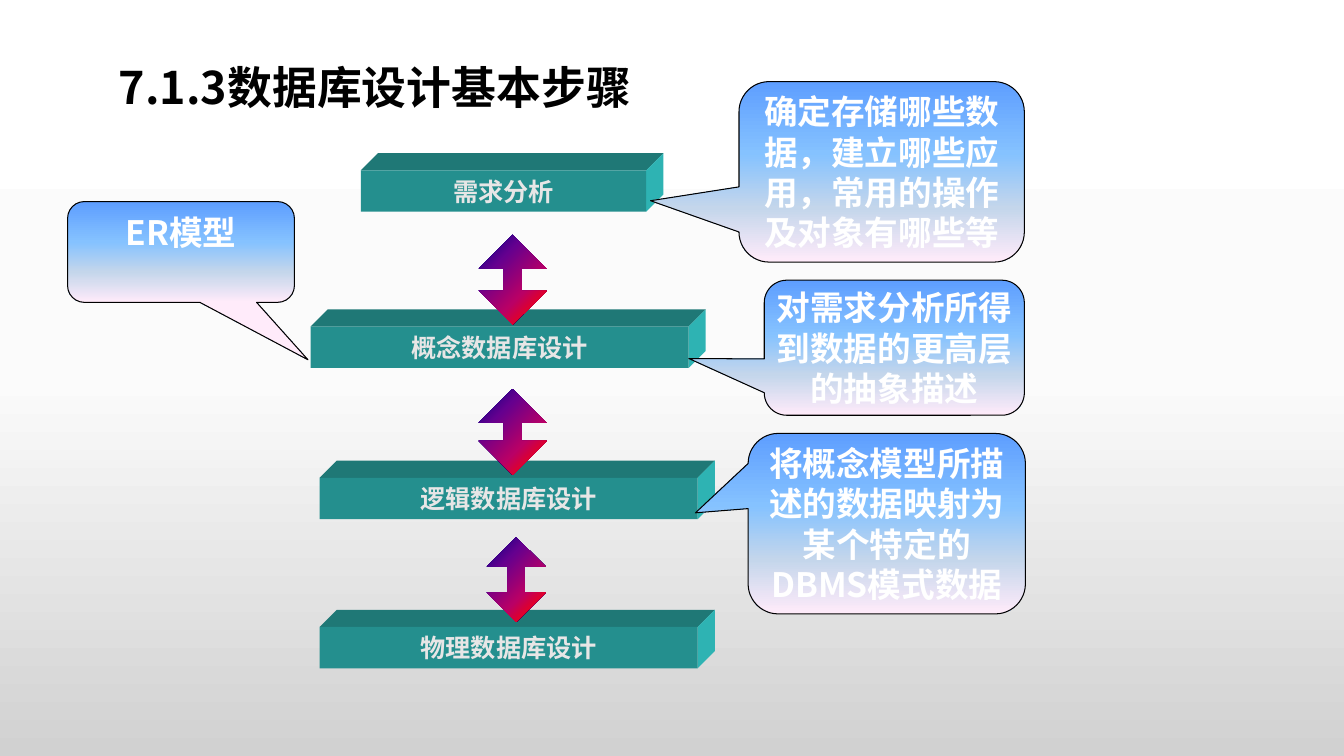
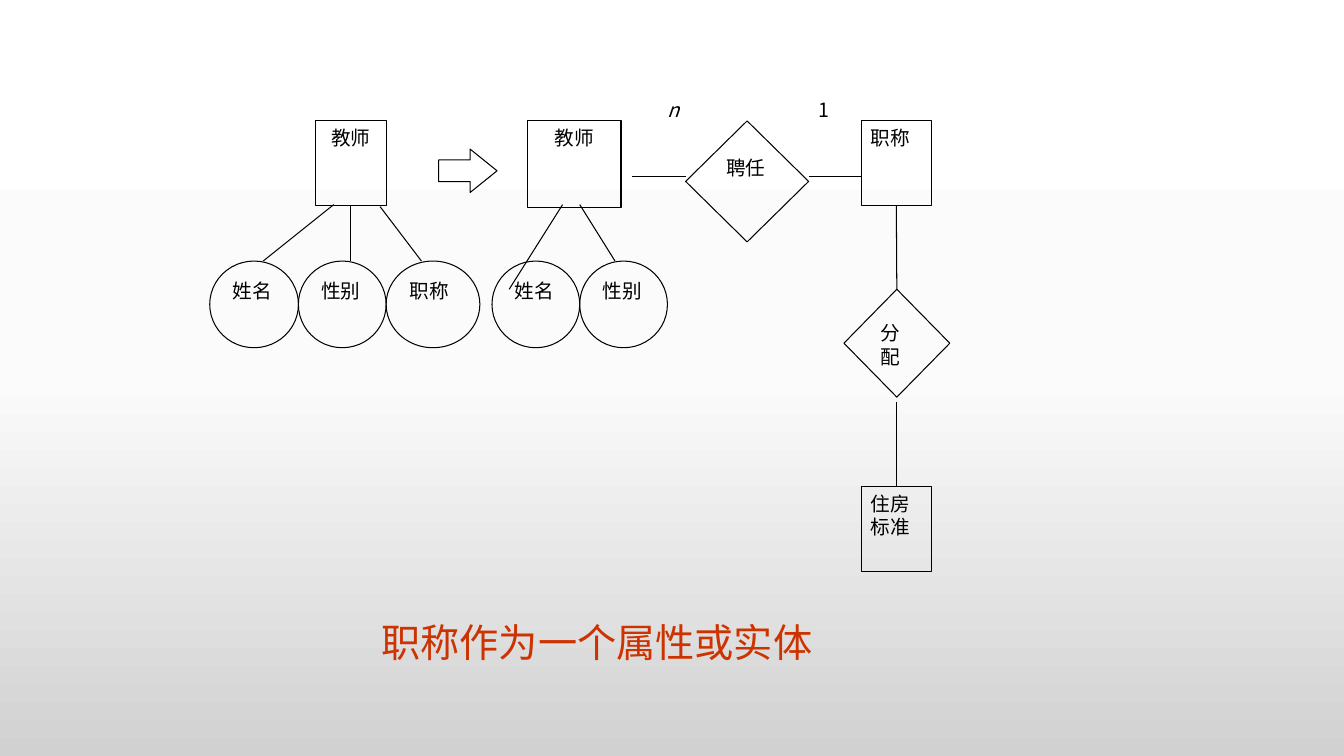
import pptx
import pptx.util
import pptx.oxml
from pptx.dml.color import RGBColor
from pptx.enum.shapes import MSO_CONNECTOR, MSO_SHAPE
from pptx.enum.text import MSO_ANCHOR, PP_ALIGN
from pptx.oxml.ns import qn
from pptx.util import Inches

# Shared colours and fonts
BLACK = RGBColor(0x00, 0x00, 0x00)
WHITE = RGBColor(0xFF, 0xFF, 0xFF)
PALE_GRAY = RGBColor(0xE7, 0xE6, 0xE6)
RED = RGBColor(0xCC, 0x33, 0x00)
BAR_FRONT = RGBColor(0x24, 0x8F, 0x8E)
BAR_TOP = RGBColor(0x1F, 0x78, 0x76)
BAR_SIDE = RGBColor(0x2E, 0xB3, 0xB3)
CJK_FONT = "Noto Sans CJK SC"

# Gradients: (position in percent, colour)
PAGE_GRADIENT = [(0, "FFFFFF"), (50, "FBFBFB"), (100, "D1D1D1")]
CALLOUT_GRADIENT = [(0, "5E9EFF"), (40, "85C2FF"), (70, "C4D6EB"), (100, "FFEBFA")]
ARROW_GRADIENT = [(0, "000082"), (30, "66008F"), (65, "BA0066"),
                  (90, "FF0000"), (100, "FF8200")]

# Text formats
TITLE_FONT = {"size": pptx.util.Pt(32), "bold": True, "name": CJK_FONT}
BAR_FONT = {"size": pptx.util.Pt(18), "bold": True, "name": CJK_FONT}
CALLOUT_FONT = {"size": pptx.util.Pt(24), "bold": True, "name": CJK_FONT}
DIAGRAM_FONT = {"size": pptx.util.Pt(14), "name": CJK_FONT}
CAPTION_FONT = {"size": pptx.util.Pt(28), "name": "Times New Roman"}
NO_MARGINS = {"margin_left": 0, "margin_right": 0, "margin_top": 0, "margin_bottom": 0}
MIDDLE = {"vertical_anchor": MSO_ANCHOR.MIDDLE, "word_wrap": True}
TOP = {"vertical_anchor": MSO_ANCHOR.TOP, "word_wrap": True}

BAR_HEIGHT = 0.41
BAR_DEPTH = 0.17


def set_values(target, values):
    for name, value in values.items():
        setattr(target, name, value)


def set_gradient(fill, element, stops, angle):
    """Fill with several colour stops; the angle runs clockwise."""
    fill.gradient()
    fill.gradient_angle = 360 - angle
    stop_list = next(element.iter(qn("a:gsLst")))
    for stop in list(stop_list):
        stop_list.remove(stop)
    for position, colour in stops:
        stop = pptx.oxml.parse_xml(
            '<a:gs xmlns:a="http://schemas.openxmlformats.org/drawingml/2006/main" '
            f'pos="{position * 1000}"><a:srgbClr val="{colour}"/></a:gs>')
        stop_list.append(stop)


def write_text(shape, text, font, colour, alignment, frame_values):
    frame = shape.text_frame
    set_values(frame, frame_values)
    frame.text = text
    for paragraph in frame.paragraphs:
        paragraph.alignment = alignment
        for run in paragraph.runs:
            set_values(run.font, font)
            run.font.color.rgb = colour
            east_asian = run.font._element.makeelement(qn("a:ea"), {"typeface": CJK_FONT})
            run.font._element.find(qn("a:latin")).addnext(east_asian)


def add_plain_shape(slide, kind, box):
    """Add a preset shape without shadow, fill or line."""
    shape = slide.shapes.add_shape(kind, *(Inches(length) for length in box))
    shape.shadow.inherit = False
    shape.fill.background()
    shape.line.fill.background()
    return shape


def outline(shape):
    shape.line.color.rgb = BLACK
    shape.line.width = pptx.util.Pt(0.75)


def add_text(slide, box, text, font, colour, alignment):
    text_box = slide.shapes.add_textbox(*(Inches(length) for length in box))
    write_text(text_box, text, font, colour, alignment, TOP)


# Elements of the step chart
def add_face(slide, points, colour):
    corners = [(Inches(x), Inches(y)) for x, y in points]
    builder = slide.shapes.build_freeform(*corners[0])
    builder.add_line_segments(corners[1:], close=True)
    face = builder.convert_to_shape()
    face.shadow.inherit = False
    face.fill.solid()
    face.fill.fore_color.rgb = colour
    face.line.fill.background()


def add_step_bar(slide, left, top, width, text):
    right, bottom = left + width, top + BAR_HEIGHT
    back_right, back_top = right + BAR_DEPTH, top - BAR_DEPTH
    add_face(slide, [(left, top), (left + BAR_DEPTH, back_top),
                     (back_right, back_top), (right, top)], BAR_TOP)
    add_face(slide, [(right, top), (back_right, back_top),
                     (back_right, bottom - BAR_DEPTH), (right, bottom)], BAR_SIDE)
    front = add_plain_shape(slide, MSO_SHAPE.RECTANGLE, (left, top, width, BAR_HEIGHT))
    front.fill.solid()
    front.fill.fore_color.rgb = BAR_FRONT
    write_text(front, text, BAR_FONT, PALE_GRAY, PP_ALIGN.CENTER, {**MIDDLE, **NO_MARGINS})


def add_callout(slide, box, pointer, text, frame_values):
    callout = add_plain_shape(slide, MSO_SHAPE.ROUNDED_RECTANGULAR_CALLOUT, box)
    callout.adjustments[0], callout.adjustments[1] = pointer
    set_gradient(callout.fill, callout.element, CALLOUT_GRADIENT, 90)
    outline(callout)
    write_text(callout, text, CALLOUT_FONT, WHITE, PP_ALIGN.CENTER, frame_values)


def add_step_arrow(slide, box, head):
    arrow = add_plain_shape(slide, MSO_SHAPE.UP_DOWN_ARROW, box)
    arrow.adjustments[0], arrow.adjustments[1] = 0.32, head
    set_gradient(arrow.fill, arrow.element, ARROW_GRADIENT, 45)


# Elements of the entity diagram
def add_node(slide, kind, box, text, alignment=PP_ALIGN.JUSTIFY):
    node = add_plain_shape(slide, kind, box)
    outline(node)
    write_text(node, text, DIAGRAM_FONT, BLACK, alignment, TOP)
    return node


def add_attributes(slide, left, attributes):
    for text, width in attributes:
        add_node(slide, MSO_SHAPE.OVAL, (left, 2.59, width, 0.86), text)
        left += width


def add_line(slide, start, end, start_node=None, end_node=None):
    line = slide.shapes.add_connector(
        MSO_CONNECTOR.STRAIGHT, *(Inches(length) for length in start + end))
    outline(line)
    properties = line.element.spPr
    properties.append(properties.makeelement(qn("a:effectLst"), {}))
    if start_node is not None:
        line.begin_connect(start_node, 2)
    if end_node is not None:
        line.end_connect(end_node, 0)


def build_steps_slide(presentation):
    slide = presentation.slides.add_slide(presentation.slide_layouts[5])
    title = slide.shapes.title
    set_values(title, {"left": Inches(1.08), "top": Inches(0.58),
                       "width": Inches(8.5), "height": Inches(0.63)})
    write_text(title, "7.1.3数据库设计基本步骤", TITLE_FONT, BLACK, PP_ALIGN.LEFT, MIDDLE)
    title.text_frame.paragraphs[0].line_spacing = 0.9

    # Steps
    for left, top, width, text in [
        (3.58, 1.69, 2.83, "需求分析"),
        (3.08, 3.24, 3.75, "概念数据库设计"),
        (3.17, 4.74, 3.75, "逻辑数据库设计"),
        (3.17, 6.22, 3.75, "物理数据库设计"),
    ]:
        add_step_bar(slide, left, top, width, text)

    # Explanations
    tight = {**MIDDLE, **NO_MARGINS}
    for box, pointer, text, frame_values in [
        ((7.33, 0.81, 2.83, 1.79), (-0.81, 0.16),
         "确定存储哪些数据，建立哪些应用，常用的操作及对象有哪些等", tight),
        ((7.58, 2.78, 2.58, 1.34), (-0.79, 0.08),
         "对需求分析所得到数据的更高层的抽象描述", tight),
        ((7.42, 4.3, 2.75, 1.79), (-0.69, -0.06),
         "将概念模型所描述的数据映射为某个特定的DBMS模式数据", tight),
        ((0.67, 2, 2.25, 1), (0.56, 1.07), "ER模型", TOP),
    ]:
        add_callout(slide, box, pointer, text, frame_values)

    # Arrows between steps
    for box, head in [((4.75, 2.33, 0.67, 0.89), 0.27),
                      ((4.75, 3.86, 0.67, 0.85), 0.26),
                      ((4.83, 5.33, 0.58, 0.84), 0.29)]:
        add_step_arrow(slide, box, head)


def build_entity_slide(presentation):
    slide = presentation.slides.add_slide(presentation.slide_layouts[6])

    # Entities and relationships
    rectangle, diamond = MSO_SHAPE.RECTANGLE, MSO_SHAPE.DIAMOND
    teacher = add_node(slide, rectangle, (3.13, 1.2, 0.7, 0.84), "教师", PP_ALIGN.CENTER)
    add_node(slide, rectangle, (5.23, 1.2, 0.93, 0.86), "教师", PP_ALIGN.CENTER)
    add_node(slide, diamond, (6.8, 1.2, 1.22, 1.2), "聘任")
    rank = add_node(slide, rectangle, (8.54, 1.2, 0.7, 0.84), "职称")
    allocation = add_node(slide, diamond, (8.37, 2.87, 1.05, 1.07), "分配")
    housing = add_node(slide, rectangle, (8.54, 4.83, 0.7, 0.84), "住房\n标准")

    # Attributes
    add_attributes(slide, 2.08, [("姓名", 0.88), ("性别", 0.87), ("职称", 0.93)])
    add_attributes(slide, 4.88, [("姓名", 0.87), ("性别", 0.87)])

    # Transformation arrow
    arrow = add_plain_shape(slide, MSO_SHAPE.RIGHT_ARROW, (4.35, 1.48, 0.58, 0.43))
    arrow.adjustments[0], arrow.adjustments[1] = 0.5, 0.62
    outline(arrow)

    # Links
    for start, end, start_node, end_node in [
        ((3.31, 2.03), (2.61, 2.59), None, None),
        ((3.48, 2.04), (3.48, 2.59), teacher, None),
        ((3.77, 2.05), (4.18, 2.59), None, None),
        ((5.58, 2.03), (5.05, 2.87), None, None),
        ((5.75, 2.03), (6.1, 2.59), None, None),
        ((6.27, 1.75), (6.8, 1.75), None, None),
        ((8.02, 1.75), (8.54, 1.75), None, None),
        ((8.89, 2.04), (8.89, 2.87), rank, allocation),
        ((8.89, 3.99), (8.89, 4.83), None, housing),
    ]:
        add_line(slide, start, end, start_node, end_node)

    # Cardinalities and caption
    add_text(slide, (6.52, 0.92, 0.47, 0.64), "n", {**DIAGRAM_FONT, "italic": True},
             BLACK, PP_ALIGN.JUSTIFY)
    add_text(slide, (8.02, 0.92, 0.58, 0.64), "1", DIAGRAM_FONT, BLACK, PP_ALIGN.JUSTIFY)
    add_text(slide, (1.67, 6.08, 8.5, 0.58), "职称作为一个属性或实体",
             CAPTION_FONT, RED, PP_ALIGN.CENTER)


def main():
    presentation = pptx.Presentation()
    presentation.slide_width = Inches(13.33)
    presentation.slide_height = Inches(7.5)
    master = presentation.slide_master
    set_gradient(master.background.fill, master.element, PAGE_GRADIENT, 90)
    build_steps_slide(presentation)
    build_entity_slide(presentation)
    presentation.save("out.pptx")


if __name__ == "__main__":
    main()
